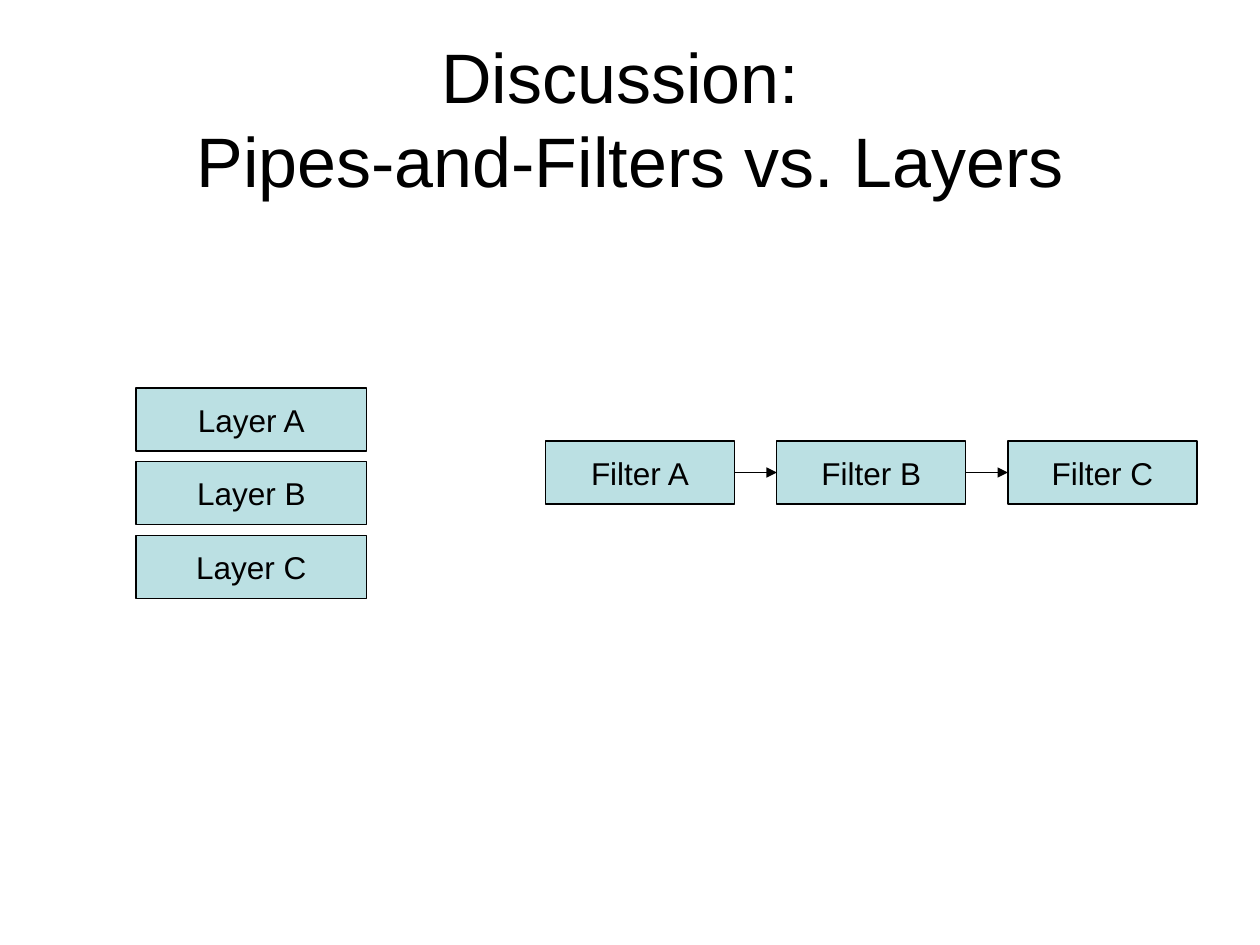
from lxml.etree import SubElement
from pptx import Presentation
from pptx.dml.color import RGBColor
from pptx.enum.shapes import MSO_CONNECTOR, MSO_SHAPE
from pptx.enum.text import MSO_ANCHOR, MSO_AUTO_SIZE, PP_ALIGN
from pptx.oxml.ns import qn
from pptx.util import Inches, Pt

# Content
TITLE = "Discussion: \vPipes-and-Filters vs. Layers"
LAYERS = ["Layer A", "Layer B", "Layer C"]
FILTERS = ["Filter A", "Filter B", "Filter C"]

# Format
FONT = "Arial"
BLACK = RGBColor(0x00, 0x00, 0x00)
WHITE = RGBColor(0xFF, 0xFF, 0xFF)
PALE_TEAL = RGBColor(0xBB, 0xE0, 0xE3)
LINE_WIDTH = Pt(0.75)

# Layout in inches
BOX_HEIGHT = 0.5
LAYER_LEFT, LAYER_TOP, LAYER_WIDTH, LAYER_STEP = 1.08, 3.08, 1.83, 0.585
FILTER_LEFT, FILTER_TOP, FILTER_WIDTH, FILTER_STEP = 4.33, 3.5, 1.5, 1.835


def write_text(shape, text, size, wrap=True):
    frame = shape.text_frame
    frame.text = text
    frame.auto_size = MSO_AUTO_SIZE.NONE
    frame.word_wrap = wrap
    frame.vertical_anchor = MSO_ANCHOR.MIDDLE
    paragraph = frame.paragraphs[0]
    paragraph.alignment = PP_ALIGN.CENTER
    for run in paragraph.runs:
        run.font.name = FONT
        run.font.size = Pt(size)
        run.font.color.rgb = BLACK


def add_box(slide, text, left, top, width):
    box = slide.shapes.add_shape(
        MSO_SHAPE.RECTANGLE, Inches(left), Inches(top), Inches(width), Inches(BOX_HEIGHT)
    )
    box.shadow.inherit = False
    box.fill.solid()
    box.fill.fore_color.rgb = PALE_TEAL
    box.line.color.rgb = BLACK
    box.line.width = LINE_WIDTH
    write_text(box, text, size=18, wrap=False)
    return box


def add_arrow(slide, source, target):
    arrow = slide.shapes.add_connector(MSO_CONNECTOR.STRAIGHT, 0, 0, 0, 0)
    arrow.begin_connect(source, 3)
    arrow.end_connect(target, 1)
    arrow.line.color.rgb = BLACK
    arrow.line.width = LINE_WIDTH
    SubElement(arrow.line._get_or_add_ln(), qn("a:tailEnd"), type="triangle")
    SubElement(arrow._element.spPr, qn("a:effectLst"))


def main():
    presentation = Presentation()
    presentation.slide_width, presentation.slide_height = Inches(10), Inches(7.5)
    slide = presentation.slides.add_slide(presentation.slide_layouts[5])
    slide.background.fill.solid()
    slide.background.fill.fore_color.rgb = WHITE

    # Title
    title = slide.shapes.title
    title.left, title.top = Inches(0.5), Inches(0.21)
    title.width, title.height = Inches(9), Inches(1.44)
    write_text(title, TITLE, size=40)

    # Stack of layers
    for index, name in enumerate(LAYERS):
        add_box(slide, name, LAYER_LEFT, LAYER_TOP + index * LAYER_STEP, LAYER_WIDTH)

    # Pipeline of filters
    filters = [
        add_box(slide, name, FILTER_LEFT + index * FILTER_STEP, FILTER_TOP, FILTER_WIDTH)
        for index, name in enumerate(FILTERS)
    ]
    for source, target in zip(filters, filters[1:]):
        add_arrow(slide, source, target)

    presentation.save("out.pptx")


if __name__ == "__main__":
    main()
